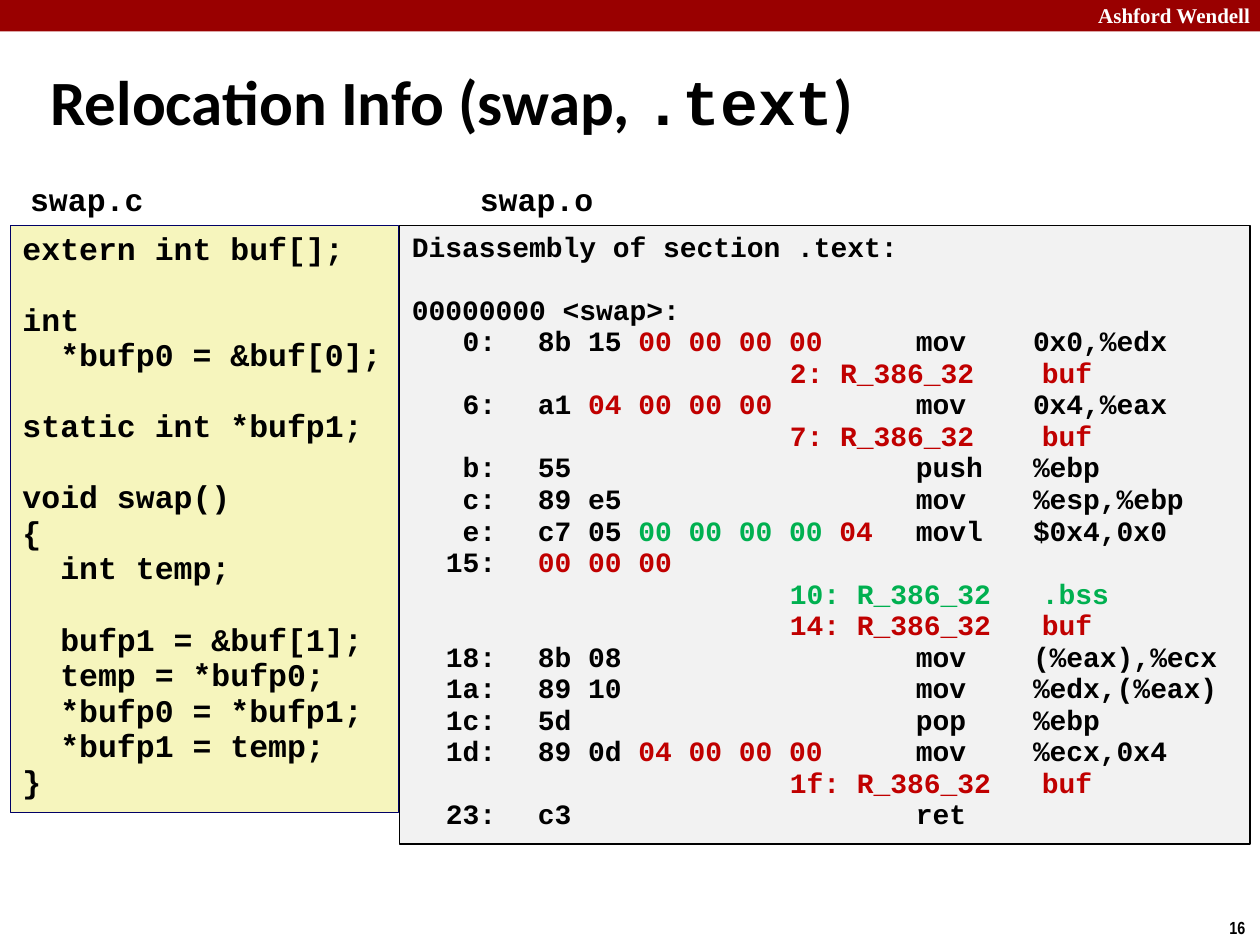
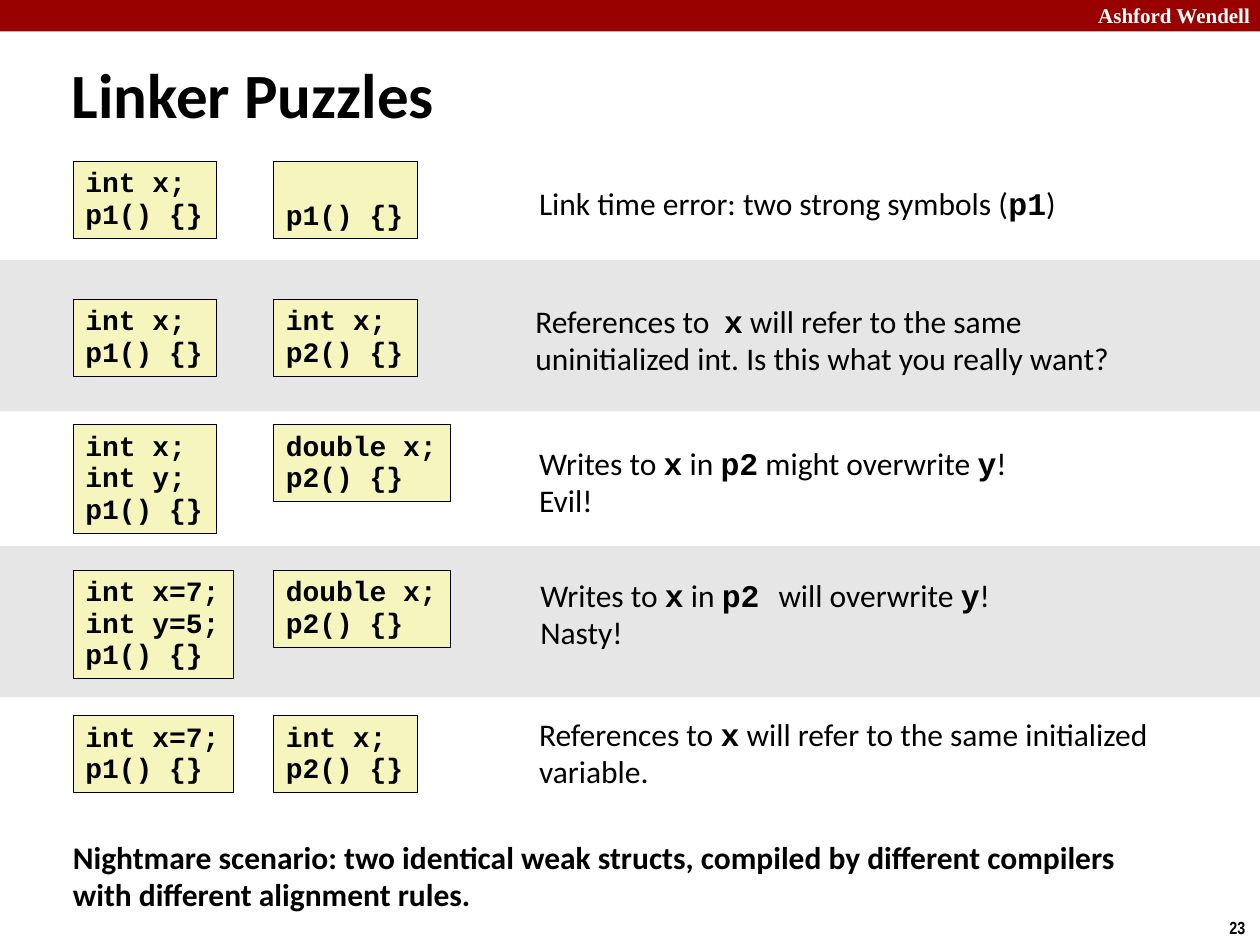
from lxml import etree
from pptx import Presentation
from pptx import util as u
from pptx.dml.color import RGBColor
from pptx.enum import shapes, text
from pptx.oxml import ns

BLACK = RGBColor(0x00, 0x00, 0x00)
WHITE = RGBColor(0xFF, 0xFF, 0xFF)
NAVY = RGBColor(0x00, 0x00, 0x66)
MAROON = RGBColor(0x99, 0x00, 0x00)
RED = RGBColor(0xC0, 0x00, 0x00)
GREEN = RGBColor(0x00, 0xB0, 0x50)
CREAM = RGBColor(0xF6, 0xF5, 0xBD)
PALE = RGBColor(0xF2, 0xF2, 0xF2)
GREY = RGBColor(0xE6, 0xE6, 0xE6)

SANS, MONO, SERIF, SLIM = "Calibri", "Courier New", "Times New Roman", "Arial Narrow"
COLS, ROWS = 100, 75
WIDE, HIGH = u.Inches(10), u.Inches(7.5)
TIGHT, PROSE = 0.94, 0.98
LEAD = 1.13

SOURCE = """extern int buf[];

int
  *bufp0 = &buf[0];

static int *bufp1;

void swap()
{
  int temp;

  bufp1 = &buf[1];
  temp = *bufp0;
  *bufp0 = *bufp1;
  *bufp1 = temp;
}""".split("\n")

DUMP = [
    ("0:", [("8b 15 ", BLACK), ("00 00 00 00", RED)], "mov", "0x0,%edx"),
    ("2: R_386_32", "buf", RED),
    ("6:", [("a1 ", BLACK), ("04 00 00 00", RED)], "mov", "0x4,%eax"),
    ("7: R_386_32", "buf", RED),
    ("b:", [("55", BLACK)], "push", "%ebp"),
    ("c:", [("89 e5", BLACK)], "mov", "%esp,%ebp"),
    ("e:", [("c7 05 ", BLACK), ("00 00 00 00 ", GREEN), ("04", RED)], "movl", "$0x4,0x0"),
    ("15:", [("00 00 00", RED)], "", ""),
    ("10: R_386_32", ".bss", GREEN),
    ("14: R_386_32", "buf", RED),
    ("18:", [("8b 08", BLACK)], "mov", "(%eax),%ecx"),
    ("1a:", [("89 10", BLACK)], "mov", "%edx,(%eax)"),
    ("1c:", [("5d", BLACK)], "pop", "%ebp"),
    ("1d:", [("89 0d ", BLACK), ("04 00 00 00", RED)], "mov", "%ecx,0x4"),
    ("1f: R_386_32", "buf", RED),
    ("23:", [("c3", BLACK)], "ret", ""),
]
OPTABS = [(0.67, "r"), (1, "l"), (4, "l"), (4.93, "l")]
RELTABS = [(3, "l"), (5, "l")]

PUZZLES = [
    (3.5, ["int x;", "p1() {}"], ["", "p1() {}"],
     (41.8, 5), ["Link time error: two strong symbols (`p1`)"]),
    (3.1, ["int x;", "p1() {}"], ["int x;", "p2() {}"],
     (41.5, 3), ["References to  `x` will refer to the same",
                 "uninitialized int. Is this what you really want?"]),
    (1.7, ["int x;", "int y;", "p1() {}"], ["double x;", "p2() {}"],
     (41.8, 2.9), ["Writes to `x` in `p2` might overwrite `y`!", "Evil!"]),
    (1.9, ["int x=7;", "int y=5;", "p1() {}"], ["double x;", "p2() {}"],
     (41.9, 2), ["Writes to `x` in `p2 `will overwrite `y`!", "Nasty!"]),
    (2.1, ["int x=7;", "p1() {}"], ["int x;", "p2() {}"],
     (41.8, 1.7), ["References to `x` will refer to the same initialized", "variable."]),
]


def place(x, y, w, h):
    """Turn columns and rows into lengths."""
    return [int(n) for n in (WIDE * x / COLS, HIGH * y / ROWS, WIDE * w / COLS, HIGH * h / ROWS)]


def block(slide, box, fill, line=None, width=0.25):
    """Draw a flat rectangle and return it."""
    rect = slide.shapes.add_shape(shapes.MSO_SHAPE.RECTANGLE, *place(*box))
    rect.shadow.inherit = False
    rect.fill.solid()
    rect.fill.fore_color.rgb = fill
    if line is None:
        rect.line.fill.background()
    else:
        rect.line.color.rgb = line
        rect.line.width = u.Pt(width)
    return rect


def setup(frame, wrap=False, anchor=text.MSO_ANCHOR.TOP):
    """Set wrapping and anchor, and return the frame."""
    frame.word_wrap = wrap
    frame.auto_size = text.MSO_AUTO_SIZE.NONE
    frame.vertical_anchor = anchor
    return frame


def label(slide, box, wrap=False):
    """Add a text box and return its frame."""
    return setup(slide.shapes.add_textbox(*place(*box)).text_frame, wrap)


def line(frame, lead=None, gap=0):
    """Start the next paragraph of a frame."""
    par = frame.paragraphs[0]
    if par.runs:
        par = frame.add_paragraph()
    par.alignment = text.PP_ALIGN.LEFT
    if lead:
        par.line_spacing = lead
    if gap:
        par.space_before = u.Pt(gap)
    return par


def write(par, words, size, face=MONO, color=BLACK, bold=True):
    """Add one run."""
    run = par.add_run()
    run.text = words
    font = run.font
    font.size, font.name, font.bold = u.Pt(size), face, bold
    font.color.rgb = color


def mixed(par, words, size, bold=False):
    """Write prose whose parts between backticks are code."""
    for n, part in enumerate(words.split("`")):
        if part:
            write(par, part, size, MONO if n % 2 else SANS, bold=bold or n % 2 == 1)


def stops(par, tabs):
    """Set tab stops, given in inches."""
    tray = etree.SubElement(par._p.get_or_add_pPr(), ns.qn("a:tabLst"))
    for pos, side in tabs:
        etree.SubElement(tray, ns.qn("a:tab"), pos=str(u.Inches(pos)), algn=side)


def listing(frame, lines, size):
    """Write code, with blank lines as space and leading blanks as indent."""
    gap = 0
    for words in lines:
        if not words:
            gap = size * LEAD
            continue
        par = line(frame, TIGHT, gap)
        bare = words.lstrip()
        if bare != words:
            inset = u.Pt(size * 0.6 * (len(words) - len(bare)))
            par._p.get_or_add_pPr().set("marL", str(inset))
        write(par, bare, size)
        gap = 0


def base(deck, title, spot, number, lead=None):
    """Add a slide with its title, top band and page number."""
    slide = deck.slides.add_slide(deck.slide_layouts[5])
    block(slide, (0, 0, COLS, 2.5), MAROON)
    brand = line(label(slide, (82, -0.3, 18.2, 3), True))
    brand.alignment = text.PP_ALIGN.RIGHT
    write(brand, "Ashford Wendell", 12, SERIF, WHITE)
    write(line(label(slide, (96.6, 72.3, 3.4, 2.7))), number, 10, SLIM)
    head = slide.shapes.title
    head.left, head.top, head.width, head.height = place(*spot, 95.3, 8.6)
    frame = setup(head.text_frame, True, text.MSO_ANCHOR.MIDDLE)
    mixed(line(frame, lead), title, 36, True)
    return slide


def source(slide, box):
    """Show the C file and its name."""
    x, y, w, h = box
    rect = block(slide, box, CREAM, NAVY)
    listing(setup(rect.text_frame), SOURCE, 18)
    write(line(label(slide, (x + 0.6, y - 4.1, 11.1, 4))), "swap.c", 18)


def dump(slide, box):
    """Show the disassembly and its file name."""
    x, y, w, h = box
    frame = setup(block(slide, box, PALE, BLACK, 1).text_frame)
    write(line(label(slide, (x + 5.4, y - 4.1, 11.1, 4))), "swap.o", 18)
    listing(frame, ["Disassembly of section .text:", "", "00000000 <swap>:"], 16)
    for entry in DUMP:
        par = line(frame, TIGHT)
        if len(entry) == 3:
            place_, name, color = entry
            stops(par, RELTABS)
            write(par, f"\t{place_}\t{name}", 16, color=color)
            continue
        addr, code, verb, args = entry
        stops(par, OPTABS)
        write(par, f"\t{addr}\t", 16)
        for words, color in code:
            write(par, words, 16, color=color)
        tail = "".join(f"\t{part}" for part in (verb, args) if part)
        if tail:
            write(par, tail, 16)


def snippet(slide, x, y, lines):
    """Draw a code box sized to its lines."""
    chars = max(map(len, lines))
    box = (x, y, chars * 1.34 + 2, len(lines) * 2.52 + 1.05)
    rect = block(slide, box, CREAM, BLACK)
    side = text.MSO_ANCHOR.TOP if lines[0] else text.MSO_ANCHOR.BOTTOM
    listing(setup(rect.text_frame, anchor=side), lines, 16)


def prose(slide, box, lines, bold=False):
    """Write lines of body text."""
    frame = label(slide, box, True)
    for words in lines:
        mixed(line(frame, PROSE), words, 18, bold)


def puzzle(slide, box, drop, left, right, spot, notes):
    """Show one pair of modules and what the linker does."""
    x, y, w, h = box
    snippet(slide, x + 5.8, y + drop, left)
    snippet(slide, x + 21.7, y + drop, right)
    prose(slide, (x + spot[0], y + spot[1], 55, 3 * len(notes) + 1), notes)


def swap(deck):
    """Build the relocation slide."""
    slide = base(deck, "Relocation Info (swap, `.text`)", (3, 4.2), "16", 0.82)
    source(slide, (0.8, 17.9, 30.8, 46.6))
    dump(slide, (31.7, 17.9, 67.5, 49.1))


def puzzles(deck):
    """Build the linker puzzle slide."""
    slide = base(deck, "Linker Puzzles", (4.7, 3.1), "23")
    for n, parts in enumerate(PUZZLES):
        box = (0, 9.3 + 11.35 * n, COLS, 12)
        if n % 2:
            block(slide, box, GREY)
        puzzle(slide, box, *parts)
    prose(slide, (4.8, 66.2, 90, 7),
          ["Nightmare scenario: two identical weak structs, compiled by different compilers",
           "with different alignment rules."], True)


def main():
    """Build and save the deck."""
    deck = Presentation()
    deck.slide_width, deck.slide_height = WIDE, HIGH
    swap(deck)
    puzzles(deck)
    deck.save("out.pptx")


if __name__ == "__main__":
    main()
